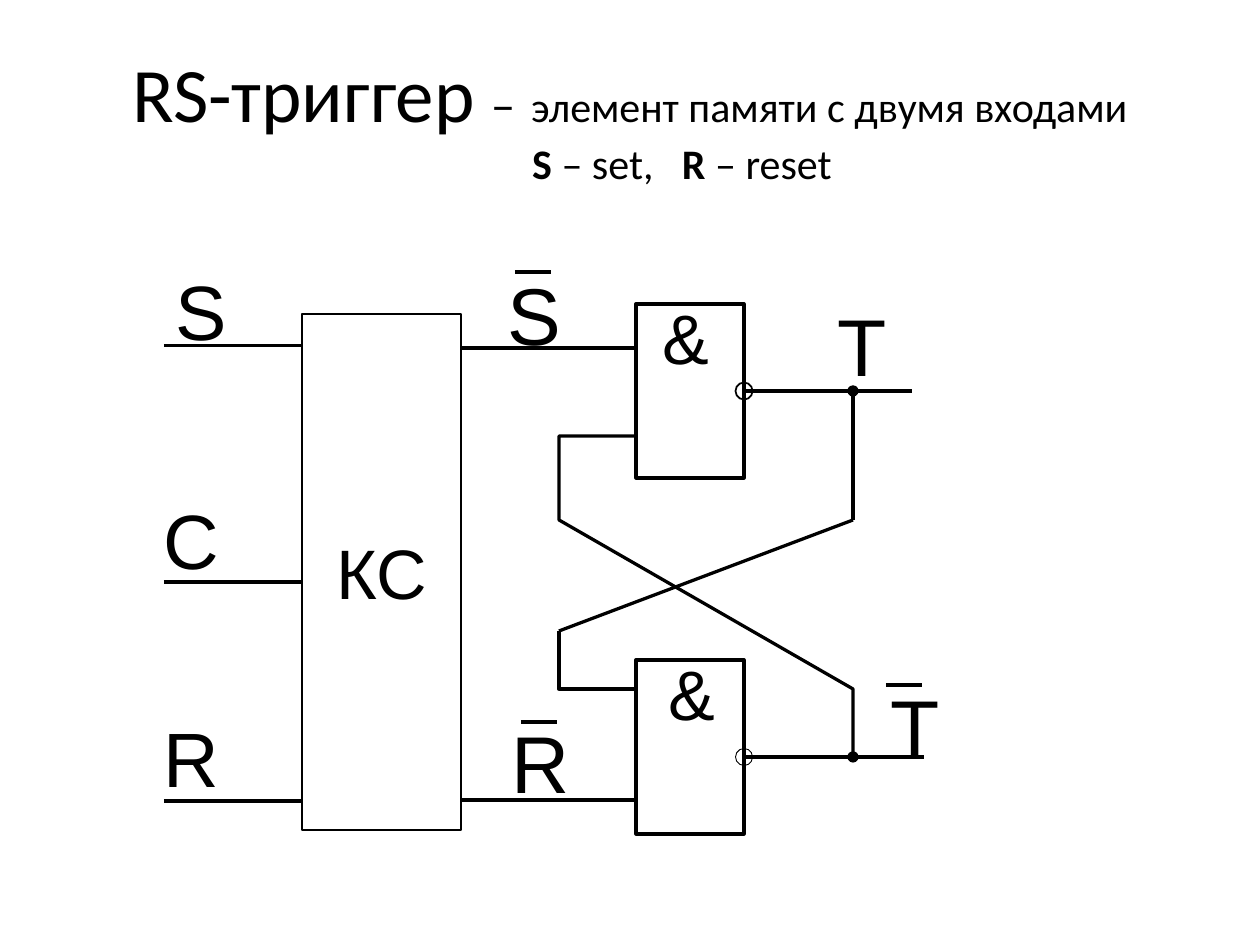
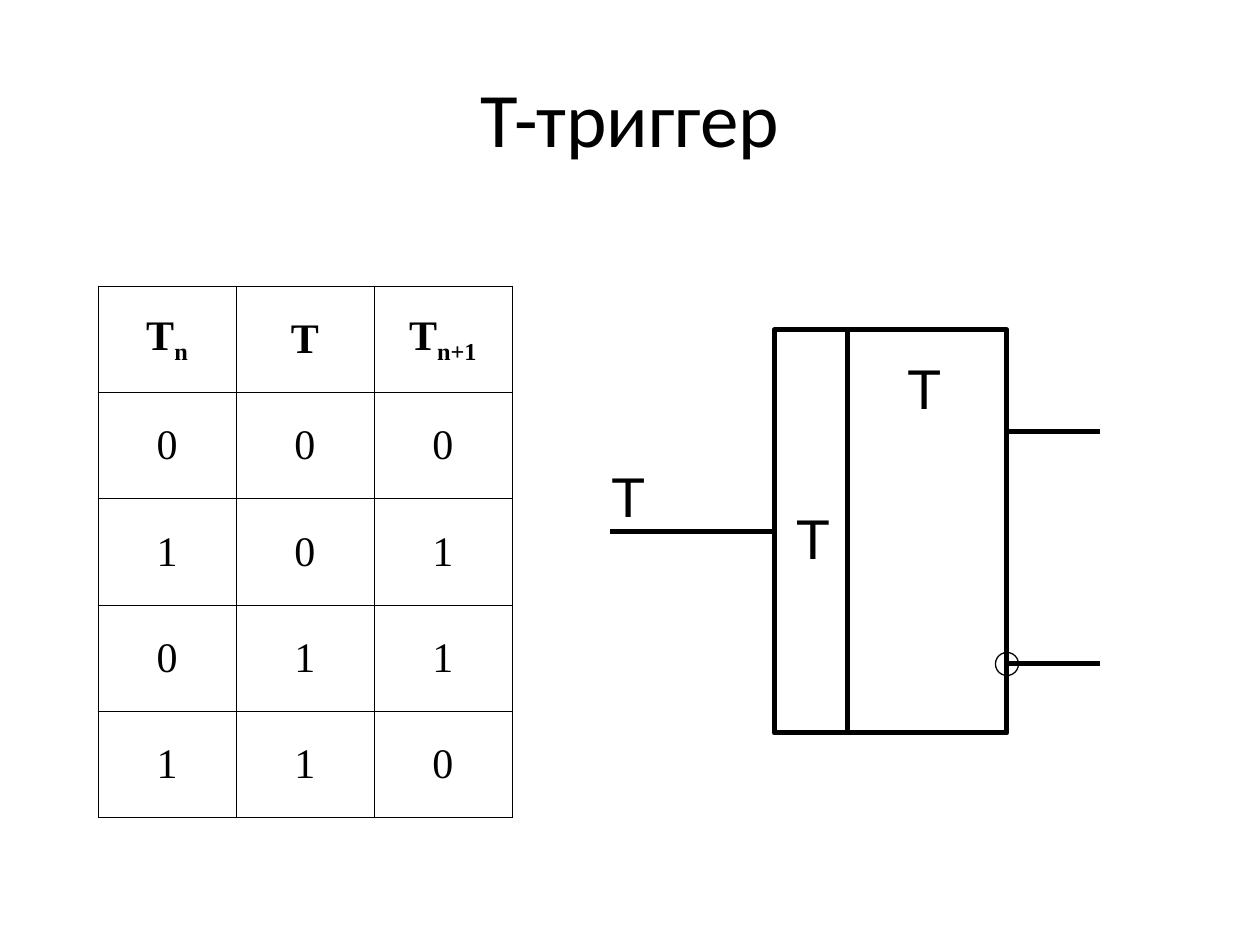
"""Builds two slides on RS and T flip-flops."""
from lxml import etree
from pptx import Presentation
from pptx.dml.color import RGBColor
from pptx.enum import shapes, text
from pptx.oxml.ns import qn
from pptx.util import Emu, Pt

BLACK = RGBColor(0, 0, 0)
SCALE = 914400 / 126
RECT, OVAL = shapes.MSO_SHAPE.RECTANGLE, shapes.MSO_SHAPE.OVAL


def px(*lengths):
    return [Emu(round(length * SCALE)) for length in lengths]


class Deck:
    """Holds the shared style and the current slide."""

    def __init__(self):
        self.file = Presentation()
        self.file.slide_width, self.file.slide_height = px(1260, 945)
        self.slide = None

    def new_slide(self):
        self.slide = self.file.slides.add_slide(self.file.slide_layouts[6])

    def style_font(self, font, size, name="Arial"):
        font.name, font.size = name, Pt(size)
        font.color.rgb = BLACK

    def outline(self, shape, weight, filled=False):
        shape.shadow.inherit = False
        if filled:
            shape.fill.solid()
            shape.fill.fore_color.rgb = BLACK
        else:
            shape.fill.background()
        shape.line.color.rgb = BLACK
        shape.line.width = Pt(weight)

    def title(self, *lines):
        frame = self.slide.shapes.add_textbox(*px(63, 38, 1134, 157)).text_frame
        frame.word_wrap = True
        frame.vertical_anchor = text.MSO_ANCHOR.MIDDLE
        for number, runs in enumerate(lines):
            line = frame.add_paragraph() if number else frame.paragraphs[0]
            line.alignment = text.PP_ALIGN.CENTER
            for words, size, bold in runs:
                run = line.add_run()
                run.text = words
                run.font.bold = bold
                self.style_font(run.font, size, "Calibri")
        return frame.paragraphs

    def label(self, words, x, y, width, height, size, wrap=True):
        frame = self.slide.shapes.add_textbox(*px(x, y, width, height)).text_frame
        frame.word_wrap = wrap
        frame.margin_left = frame.margin_right = 0
        frame.margin_top = frame.margin_bottom = 0
        line = frame.paragraphs[0]
        line.text = words
        self.style_font(line.font, size)

    def shape(self, kind, x, y, width, height, weight, filled=False):
        shape = self.slide.shapes.add_shape(kind, *px(x, y, width, height))
        self.outline(shape, weight, filled)
        return shape

    def circle(self, x, y, diameter, weight, filled=False):
        corner = x - diameter / 2, y - diameter / 2
        self.shape(OVAL, *corner, diameter, diameter, weight, filled)

    def wire(self, x1, y1, x2, y2, weight):
        wire = self.slide.shapes.add_connector(
            shapes.MSO_CONNECTOR.STRAIGHT, *px(x1, y1, x2, y2))
        wire.line.color.rgb = BLACK
        wire.line.width = Pt(weight)
        etree.SubElement(wire._element.spPr, qn("a:effectLst"))

    def bent_wire(self, points, weight):
        builder = self.slide.shapes.build_freeform(*points[0], scale=SCALE)
        builder.add_line_segments(points[1:], close=False)
        self.outline(builder.convert_to_shape(), weight)

    def border(self, cell):
        properties = cell._tc.get_or_add_tcPr()
        for side in ("a:lnL", "a:lnR", "a:lnT", "a:lnB"):
            edge = etree.SubElement(properties, qn(side), w=str(Pt(0.45)))
            fill = etree.SubElement(edge, qn("a:solidFill"))
            etree.SubElement(fill, qn("a:srgbClr"), val=str(BLACK))

    def table(self, rows, x, y, width, height):
        table = self.slide.shapes.add_table(
            len(rows), len(rows[0]), *px(x, y, width, height)).table
        table.horz_banding = table.first_row = False
        for r, row in enumerate(rows):
            for c, (base, subscript) in enumerate(row):
                cell = table.cell(r, c)
                self.border(cell)
                cell.fill.background()
                cell.vertical_anchor = text.MSO_ANCHOR.MIDDLE
                cell.margin_left, cell.margin_right = px(9, 9)
                line = cell.text_frame.paragraphs[0]
                line.alignment = text.PP_ALIGN.CENTER
                line.add_run().text = base
                if subscript:
                    index = line.add_run()
                    index.text = subscript
                    index._r.get_or_add_rPr().set("baseline", "-25000")
                for run in line.runs:
                    self.style_font(run.font, 24, "Times New Roman")
                    run.font.bold = r == 0


def rs_slide(deck):
    deck.new_slide()
    heading, legend = deck.title(
        [("RS-триггер", 44, False), (" ", 40, False), ("–", 28, False),
         (" ", 40, False), ("элемент памяти с двумя входами", 24, False)],
        [("S", 24, True), (" – set,", 24, False), (" ", 24, False),
         ("R", 24, True), (" – reset", 24, False)])
    legend._p.get_or_add_pPr().set("marL", str(px(104)[0]))
    legend.runs[2]._r.get_or_add_rPr().set("spc", "1080")

    weight = 1.87
    for gate_top, output, ring_weight in ((304, 391, 0.99), (660, 757, 0.51)):
        deck.shape(RECT, 636, gate_top, 108, 174, weight)
        deck.circle(744, output, 17, ring_weight)
        deck.circle(853, output, 10, 0.74, filled=True)
    deck.wire(744, 391, 853, 391, weight)
    deck.wire(833, 391, 912, 391, 1.76)
    deck.wire(924, 757, 744, 757, weight)
    deck.wire(853, 520, 853, 391, weight)
    deck.wire(853, 520, 559, 631, weight)
    deck.bent_wire([(636, 436), (559, 436), (559, 520), (853, 689), (853, 757)], weight)
    deck.bent_wire([(559, 631), (559, 689), (636, 689)], weight)
    for y in (348, 800):
        deck.wire(636, y, 461, y, weight)
    for x, y in ((515, 272), (521, 722), (886, 685)):
        deck.wire(x, y, x + 36, y, weight)

    for x, y in ((663, 294), (669, 651)):
        deck.label("&", x, y, 67, 84, 40)
    for name, x, y, width in (("S", 508, 265, 63), ("R", 512, 713, 68),
                              ("T", 838, 296, 81)):
        deck.label(name, x, y, width, 193, 46)
    deck.label("T", 891, 677, 129, 97, 46, wrap=False)

    control = deck.shape(RECT, 302, 314, 159, 516, 1.5)
    control.text_frame.word_wrap = False
    control.text_frame.vertical_anchor = text.MSO_ANCHOR.MIDDLE
    caption = control.text_frame.paragraphs[0]
    caption.text = "КС"
    caption.alignment = text.PP_ALIGN.CENTER
    deck.style_font(caption.font, 40)
    for name, x, y, wire_y in (("S", 175, 263, 346), ("C", 164, 493, 582),
                               ("R", 164, 711, 801)):
        deck.wire(164, wire_y, 302, wire_y, 1.76)
        deck.label(name, x, y, 59, 92, 44)


def t_slide(deck):
    deck.new_slide()
    deck.title([("Т-триггер", 44, False)])
    header = [("Т", "n"), ("Т", ""), ("Т", "n+1")]
    states = [[(digit, "") for digit in row] for row in ("000", "101", "011", "110")]
    deck.table([header] + states, 98, 286, 414, 532)

    weight = 2.86
    deck.shape(RECT, 774, 330, 233, 403, weight)
    deck.wire(848, 330, 848, 733, weight)
    for y in (432, 664):
        deck.wire(1007, y, 1100, y, weight)
    deck.circle(1007, 664, 23, 0.74)
    deck.wire(774, 532, 610, 532, weight)
    for x, y in ((796, 503), (907, 353), (611, 462)):
        deck.label("T", x, y, 32, 67, 32, wrap=False)


deck = Deck()
rs_slide(deck)
t_slide(deck)
deck.file.save("out.pptx")
